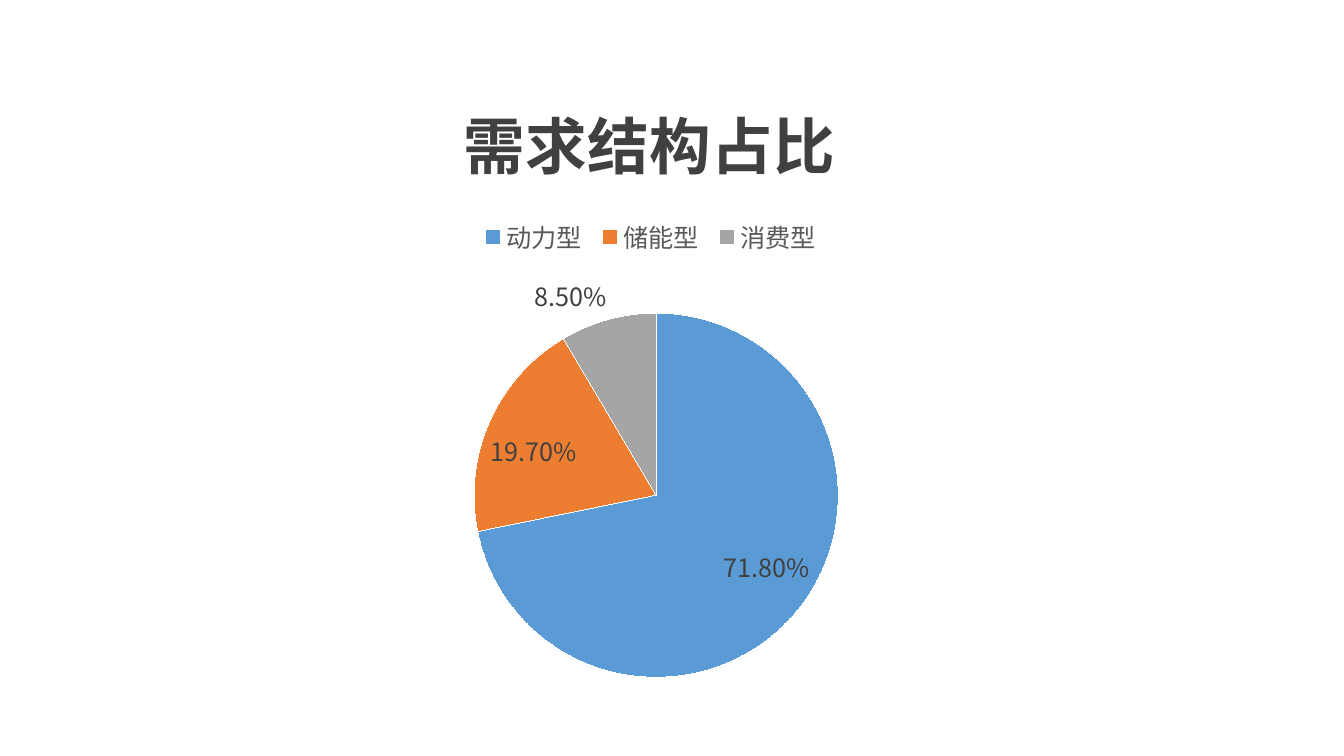
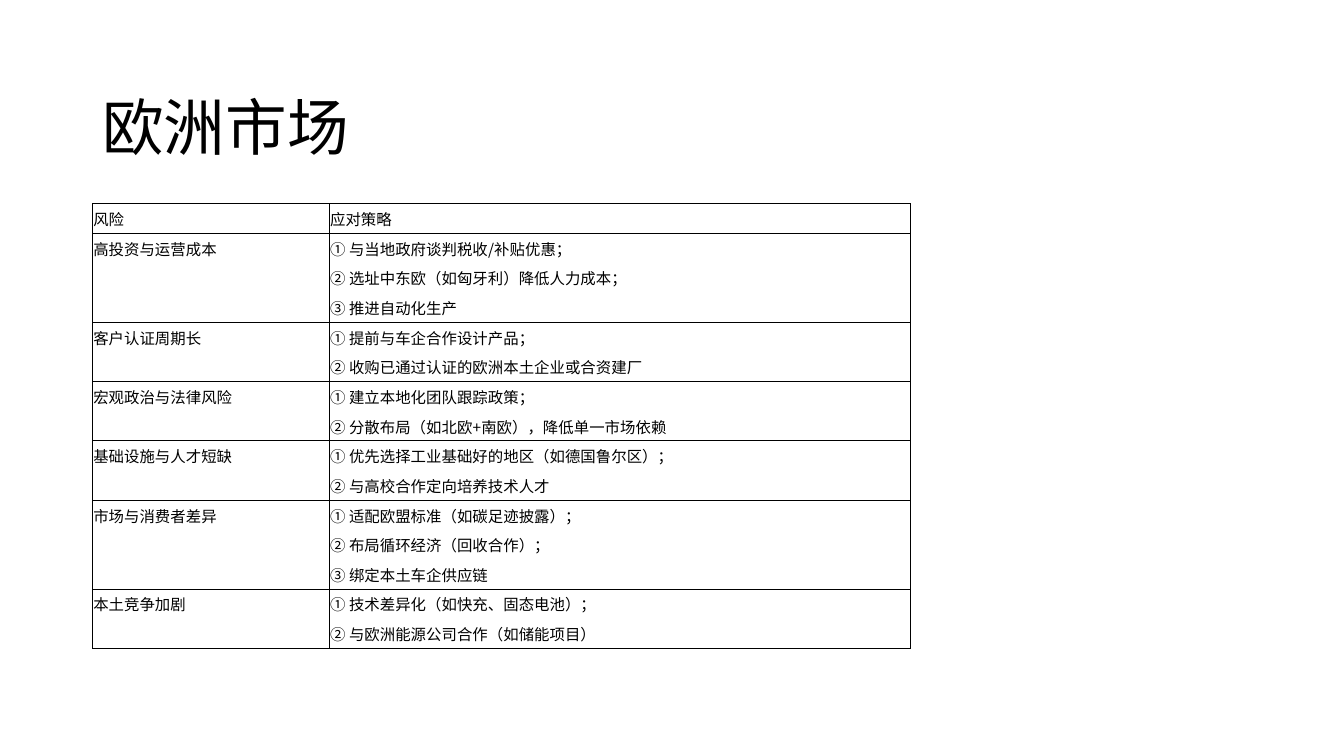
from dataclasses import dataclass

from pptx import Presentation
from pptx.chart.data import CategoryChartData as Data
from pptx.dml.color import RGBColor as RGB
from pptx.enum.chart import XL_CHART_TYPE as Kind
from pptx.enum.chart import XL_LABEL_POSITION as Spot
from pptx.enum.chart import XL_LEGEND_POSITION as Side
from pptx.enum.text import MSO_ANCHOR as Anchor
from pptx.oxml import parse_xml as make
from pptx.oxml.ns import nsdecls, qn
from pptx.util import Cm, Pt


@dataclass(frozen=True)
class Theme:
    face: str = "Noto Sans CJK SC"
    ink: str = "000000"
    dark: str = "404040"
    grey: str = "595959"
    paper: str = "FFFFFF"
    slices: tuple = ("5B9BD5", "ED7D31", "A5A5A5")
    title: int = 44
    label: int = 18
    cell: int = 11
    rule: float = 0.5


T = Theme()

SHARES = {"动力型": 0.718, "储能型": 0.197, "消费型": 0.085}

RISKS = [
    ("风险", ["应对策略"]),
    ("高投资与运营成本", ["① 与当地政府谈判税收/补贴优惠；",
                  "② 选址中东欧（如匈牙利）降低人力成本；",
                  "③ 推进自动化生产"]),
    ("客户认证周期长", ["① 提前与车企合作设计产品；",
                 "② 收购已通过认证的欧洲本土企业或合资建厂"]),
    ("宏观政治与法律风险", ["① 建立本地化团队跟踪政策；",
                   "② 分散布局（如北欧+南欧），降低单一市场依赖"]),
    ("基础设施与人才短缺", ["① 优先选择工业基础好的地区（如德国鲁尔区）；",
                   "② 与高校合作定向培养技术人才"]),
    ("市场与消费者差异", ["① 适配欧盟标准（如碳足迹披露）；",
                  "② 布局循环经济（回收合作）；",
                  "③ 绑定本土车企供应链"]),
    ("本土竞争加剧", ["① 技术差异化（如快充、固态电池）；",
                "② 与欧洲能源公司合作（如储能项目）"]),
]


def style(font, size, color, bold=False):
    font.size, font.bold, font.name = Pt(size), bold, T.face
    font.color.rgb = RGB.from_string(color)
    latin = font._rPr.find(qn("a:latin"))
    latin.addnext(make(f'<a:ea {nsdecls("a")} typeface="{T.face}"/>'))


def place(host, index, inner=False, **box):
    old = host.find(qn("c:layout"))
    if old is not None:
        host.remove(old)
    target = '<c:layoutTarget val="inner"/>' if inner else ""
    modes = "".join(f'<c:{k}Mode val="edge"/>' for k in box if k in "xy")
    sizes = "".join(f'<c:{k} val="{v / 100:.3f}"/>' for k, v in box.items())
    host.insert(index, make(
        f'<c:layout {nsdecls("c")}><c:manualLayout>{target}{modes}{sizes}'
        '</c:manualLayout></c:layout>'))


def add_pie(slide, name, shares, box):
    data = Data(number_format="0.00%")
    data.categories = list(shares)
    data.add_series(name, list(shares.values()))
    chart = slide.shapes.add_chart(Kind.PIE, *box, data).chart
    style(chart.font, T.label, T.ink)

    chart.has_title = True
    para = chart.chart_title.text_frame.paragraphs[0]
    para.text = name
    style(para.runs[0].font, T.title, T.dark, True)
    place(chart.chart_title._element, 1, x=33.6, y=2.8)

    chart.has_legend = True
    legend = chart.legend
    legend.position, legend.include_in_layout = Side.TOP, False
    style(legend.font, T.label, T.grey)
    place(legend._element, 1, x=35.3, y=24, w=29.5, h=7)

    plot = chart.plots[0]
    plot.vary_by_categories = True
    for i, color in enumerate(T.slices):
        form = plot.series[0].points[i].format
        form.fill.solid()
        form.fill.fore_color.rgb = RGB.from_string(color)
        form.line.color.rgb = RGB.from_string(T.paper)
        form.line.width = Pt(0)
    plot.has_data_labels = True
    labels = plot.data_labels
    labels.show_value, labels.show_percentage = True, False
    labels.number_format, labels.number_format_is_linked = "0.00%", False
    labels.position = Spot.BEST_FIT
    style(labels.font, T.label, T.dark)
    area = chart._chartSpace.find(".//" + qn("c:plotArea"))
    place(area, 0, True, x=35, y=39.5, w=31, h=57.2)


def add_title(slide, text, box):
    frame = slide.shapes.add_textbox(*box).text_frame
    frame.word_wrap, frame.vertical_anchor = True, Anchor.MIDDLE
    frame.text = text
    para = frame.paragraphs[0]
    para.line_spacing = 0.9
    style(para.runs[0].font, T.title, T.ink)


def edge(cell, sides):
    props = cell._tc.get_or_add_tcPr()
    for side in "LRTB":
        fill = (f'<a:solidFill><a:srgbClr val="{T.ink}"/></a:solidFill>'
                if side in sides else "<a:noFill/>")
        props.append(make(f'<a:ln{side} {nsdecls("a")} w="{Pt(T.rule)}">'
                          f'{fill}</a:ln{side}>'))


def fill_cell(cell, text, sides):
    edge(cell, sides)
    cell.fill.background()
    cell.vertical_anchor = Anchor.MIDDLE
    cell.margin_left = cell.margin_right = cell.margin_top = Cm(0.02)
    cell.margin_bottom = 0
    para = cell.text_frame.paragraphs[0]
    if text:
        para.text = text
        style(para.runs[0].font, T.cell, T.ink)
    else:
        para._p.append(make(
            f'<a:endParaRPr {nsdecls("a")} sz="{T.cell * 100}"/>'))


def add_grid(slide, groups, widths, box):
    count = sum(len(steps) for _, steps in groups)
    table = slide.shapes.add_table(count, len(widths), *box).table
    table.first_row = table.horz_banding = False
    for col, width in zip(table.columns, widths):
        col.width = width
    for row in table.rows:
        row.height = int(box[3] / count)
    top = 0
    for risk, steps in groups:
        for i, step in enumerate(steps):
            sides = "LR" + "T" * (i == 0) + "B" * (i == len(steps) - 1)
            for j, text in enumerate(("" if i else risk, step)):
                fill_cell(table.cell(top + i, j), text, sides)
        top += len(steps)


def main():
    deck = Presentation()
    deck.slide_width, deck.slide_height = Cm(33.87), Cm(19.05)
    demand, europe = (deck.slides.add_slide(deck.slide_layouts[6])
                      for _ in range(2))
    add_pie(demand, "需求结构占比", SHARES,
            (Cm(1.22), Cm(1.55), Cm(30.33), Cm(16.05)))
    left = Cm(2.33)
    add_title(europe, "欧洲市场", (left, Cm(1.45), Cm(29.21), Cm(3.68)))
    widths = Cm(5.97), Cm(14.65)
    add_grid(europe, RISKS, widths,
             (left, Cm(5.13), sum(widths), Cm(11.21)))
    deck.save("out.pptx")


if __name__ == "__main__":
    main()
